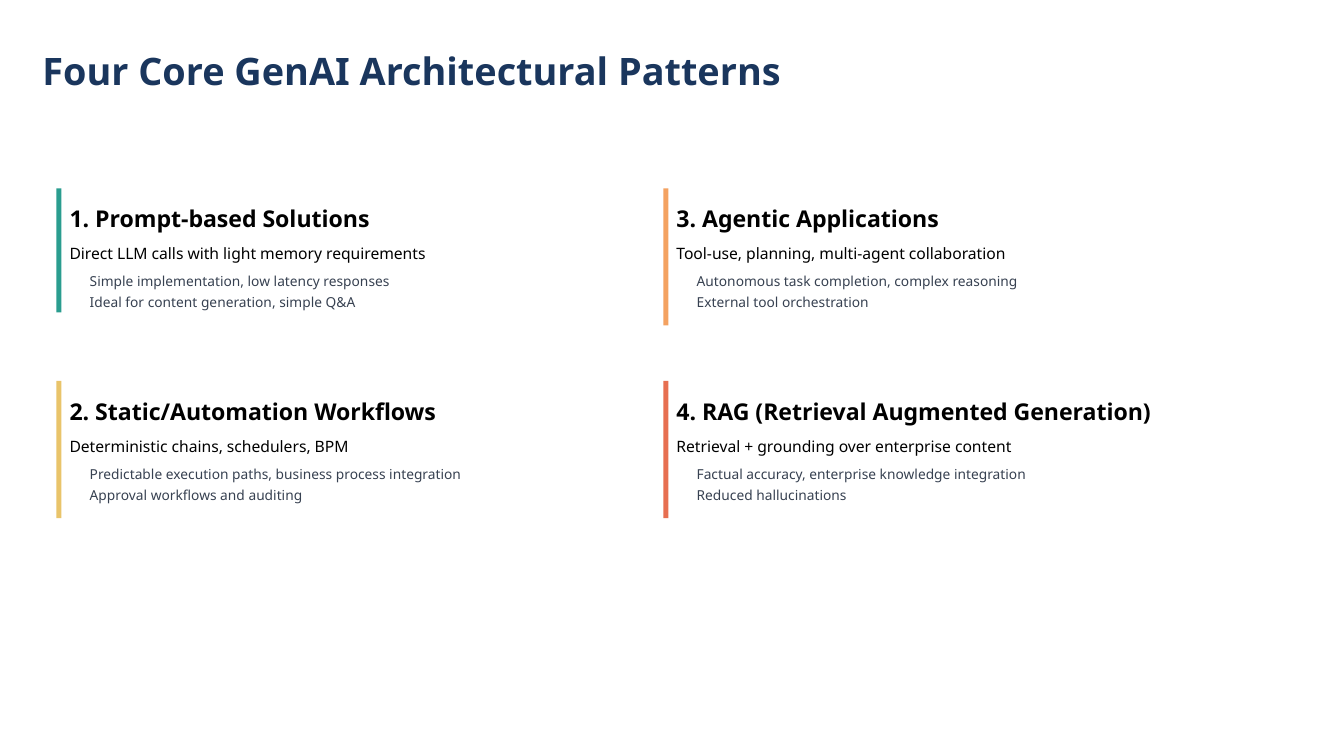
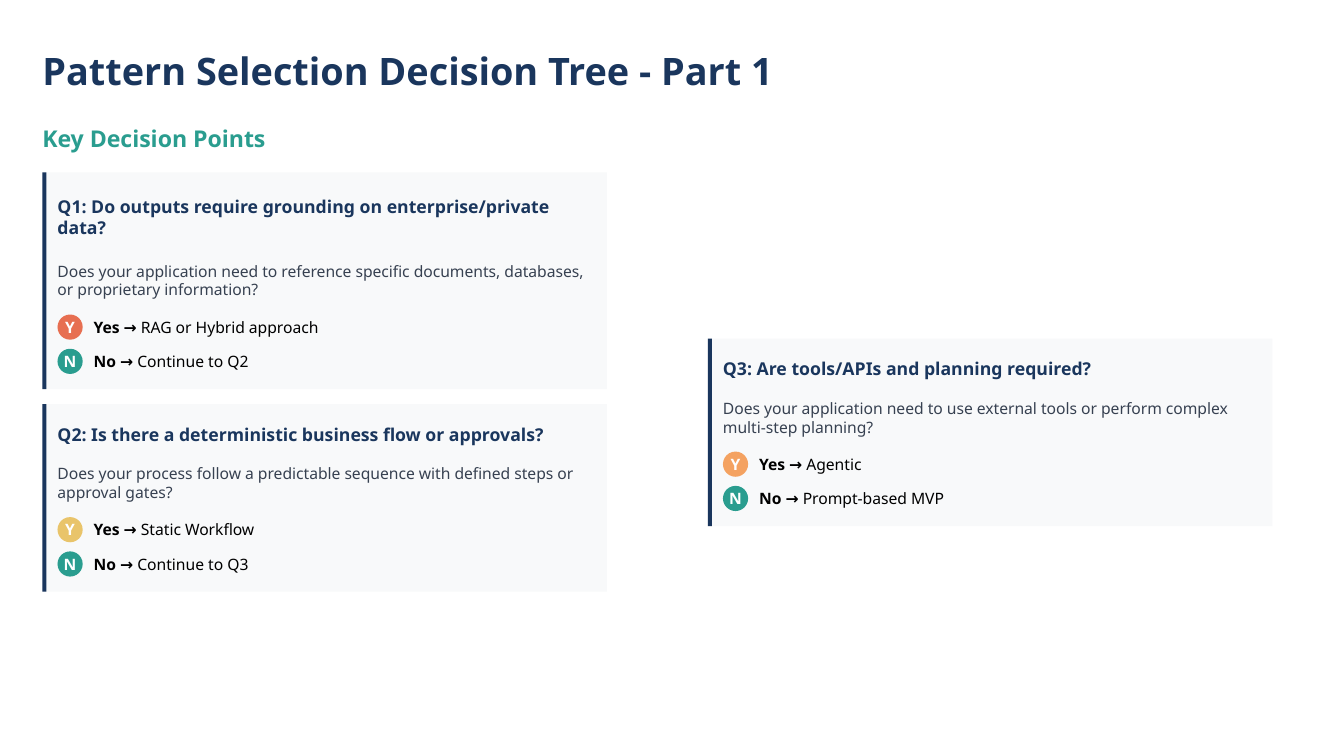
from pptx import Presentation
from pptx.dml.color import RGBColor
from pptx.enum import shapes, text
from pptx.util import Inches, Pt

FONT = "Noto Sans"
NAVY = RGBColor(0x1A, 0x36, 0x5D)
TEAL = RGBColor(0x2A, 0x9D, 0x8F)
YELLOW = RGBColor(0xE9, 0xC4, 0x6A)
ORANGE = RGBColor(0xF4, 0xA2, 0x61)
CORAL = RGBColor(0xE7, 0x6F, 0x51)
SLATE = RGBColor(0x37, 0x41, 0x51)
PALE = RGBColor(0xF8, 0xF9, 0xFA)
BLACK = RGBColor(0, 0, 0)
WHITE = RGBColor(0xFF, 0xFF, 0xFF)

MARGIN = 0.42
BODY_SIZE = 11.2
DETAIL_SIZE = 9.8
HEADING_SIZE = 16.5

# Heading, summary, details, bar colour, left, top, bar height
PATTERNS = [
    ("1. Prompt-based Solutions",
     "Direct LLM calls with light memory requirements",
     ["Simple implementation, low latency responses",
      "Ideal for content generation, simple Q&A"],
     TEAL, 0.56, 1.87, 1.23),
    ("2. Static/Automation Workflows",
     "Deterministic chains, schedulers, BPM",
     ["Predictable execution paths, business process integration",
      "Approval workflows and auditing"],
     YELLOW, 0.56, 3.78, 1.36),
    ("3. Agentic Applications",
     "Tool-use, planning, multi-agent collaboration",
     ["Autonomous task completion, complex reasoning",
      "External tool orchestration"],
     ORANGE, 6.58, 1.87, 1.36),
    ("4. RAG (Retrieval Augmented Generation)",
     "Retrieval + grounding over enterprise content",
     ["Factual accuracy, enterprise knowledge integration",
      "Reduced hallucinations"],
     CORAL, 6.58, 3.78, 1.36),
]

# Question, explanation, yes answer, yes colour, no answer, left, top, height
QUESTIONS = [
    ("Q1: Do outputs require grounding on enterprise/private data?",
     "Does your application need to reference specific documents, databases, "
     "or proprietary information?",
     "RAG or Hybrid approach", CORAL, "Continue to Q2", MARGIN, 1.71, 2.15),
    ("Q2: Is there a deterministic business flow or approvals?",
     "Does your process follow a predictable sequence with defined steps or "
     "approval gates?",
     "Static Workflow", YELLOW, "Continue to Q3", MARGIN, 4.01, 1.86),
    ("Q3: Are tools/APIs and planning required?",
     "Does your application need to use external tools or perform complex "
     "multi-step planning?",
     "Agentic", ORANGE, "Prompt-based MVP", 7.02, 3.36, 1.86),
]


def prepare_frame(frame, wrap=True):
    frame.margin_left = frame.margin_right = 0
    frame.margin_top = frame.margin_bottom = 0
    frame.vertical_anchor = text.MSO_ANCHOR.MIDDLE
    frame.word_wrap = wrap


def add_run(paragraph, words, size, color, bold=False):
    run = paragraph.add_run()
    run.text = words
    run.font.name = FONT
    run.font.size = Pt(size)
    run.font.bold = bold
    run.font.color.rgb = color


def add_text(parent, left, top, width, height, words, size, color, bold=False):
    """Add a one-paragraph text box and return its frame."""
    box = parent.add_textbox(Inches(left), Inches(top), Inches(width), Inches(height))
    prepare_frame(box.text_frame)
    add_run(box.text_frame.paragraphs[0], words, size, color, bold)
    return box.text_frame


def add_block(parent, kind, left, top, width, height, color):
    shape = parent.add_shape(kind, Inches(left), Inches(top), Inches(width), Inches(height))
    shape.shadow.inherit = False
    shape.fill.solid()
    shape.fill.fore_color.rgb = color
    shape.line.fill.background()
    return shape


def add_titled_slide(presentation, words):
    slide = presentation.slides.add_slide(presentation.slide_layouts[5])
    title = slide.shapes.title
    title.left, title.top = Inches(MARGIN), Inches(0.47)
    title.width, title.height = Inches(12.5), Inches(0.45)
    prepare_frame(title.text_frame)
    paragraph = title.text_frame.paragraphs[0]
    paragraph.alignment = text.PP_ALIGN.LEFT
    add_run(paragraph, words, 27, NAVY, bold=True)
    return slide


def add_pattern(slide, heading, summary, details, color, left, top, bar_height):
    parent = slide.shapes
    text_left = left + 0.13
    add_block(parent, shapes.MSO_SHAPE.RECTANGLE, left, top, 0.05, bar_height, color)
    add_text(parent, text_left, top + 0.16, 5.8, 0.28, heading, HEADING_SIZE, BLACK, True)
    add_text(parent, text_left, top + 0.55, 5.8, 0.19, summary, BODY_SIZE, BLACK)
    for row, detail in enumerate(details):
        add_text(parent, left + 0.33, top + 0.84 + row * 0.21, 5.6, 0.16,
                 detail, DETAIL_SIZE, SLATE)


def add_answer(parent, left, top, label, answer, color):
    """Add a lettered badge with its labelled answer beside it."""
    badge = add_block(parent, shapes.MSO_SHAPE.OVAL, left, top, 0.25, 0.25, color)
    prepare_frame(badge.text_frame, wrap=False)
    paragraph = badge.text_frame.paragraphs[0]
    paragraph.alignment = text.PP_ALIGN.CENTER
    add_run(paragraph, label[0], BODY_SIZE, WHITE, bold=True)
    frame = add_text(parent, left + 0.36, top + 0.03, 4.9, 0.19,
                     f"{label} → ", BODY_SIZE, BLACK, True)
    add_run(frame.paragraphs[0], answer, BODY_SIZE, BLACK)


def add_question(slide, question, explanation, yes, yes_color, no, left, top, height):
    parent = slide.shapes.add_group_shape().shapes
    text_left, text_width = left + 0.15, 5.29
    bottom = top + height
    rectangle = shapes.MSO_SHAPE.RECTANGLE
    add_block(parent, rectangle, left, top, 5.6, height, PALE)
    add_block(parent, rectangle, left, top, 0.04, height, NAVY)
    add_text(parent, text_left, top, text_width, height - 1.27, question, 12.6, NAVY, True)
    add_text(parent, text_left, bottom - 1.27, text_width, 0.38,
             explanation, BODY_SIZE, SLATE)
    add_answer(parent, text_left, bottom - 0.74, "Yes", yes, yes_color)
    add_answer(parent, text_left, bottom - 0.4, "No", no, TEAL)


def main():
    presentation = Presentation()
    presentation.slide_width = Inches(13.33)
    presentation.slide_height = Inches(7.5)

    slide = add_titled_slide(presentation, "Four Core GenAI Architectural Patterns")
    for pattern in PATTERNS:
        add_pattern(slide, *pattern)

    slide = add_titled_slide(presentation, "Pattern Selection Decision Tree - Part 1")
    add_text(slide.shapes, MARGIN, 1.23, 5.6, 0.28, "Key Decision Points",
             HEADING_SIZE, TEAL, True)
    for question in QUESTIONS:
        add_question(slide, *question)

    presentation.save("out.pptx")


if __name__ == "__main__":
    main()
